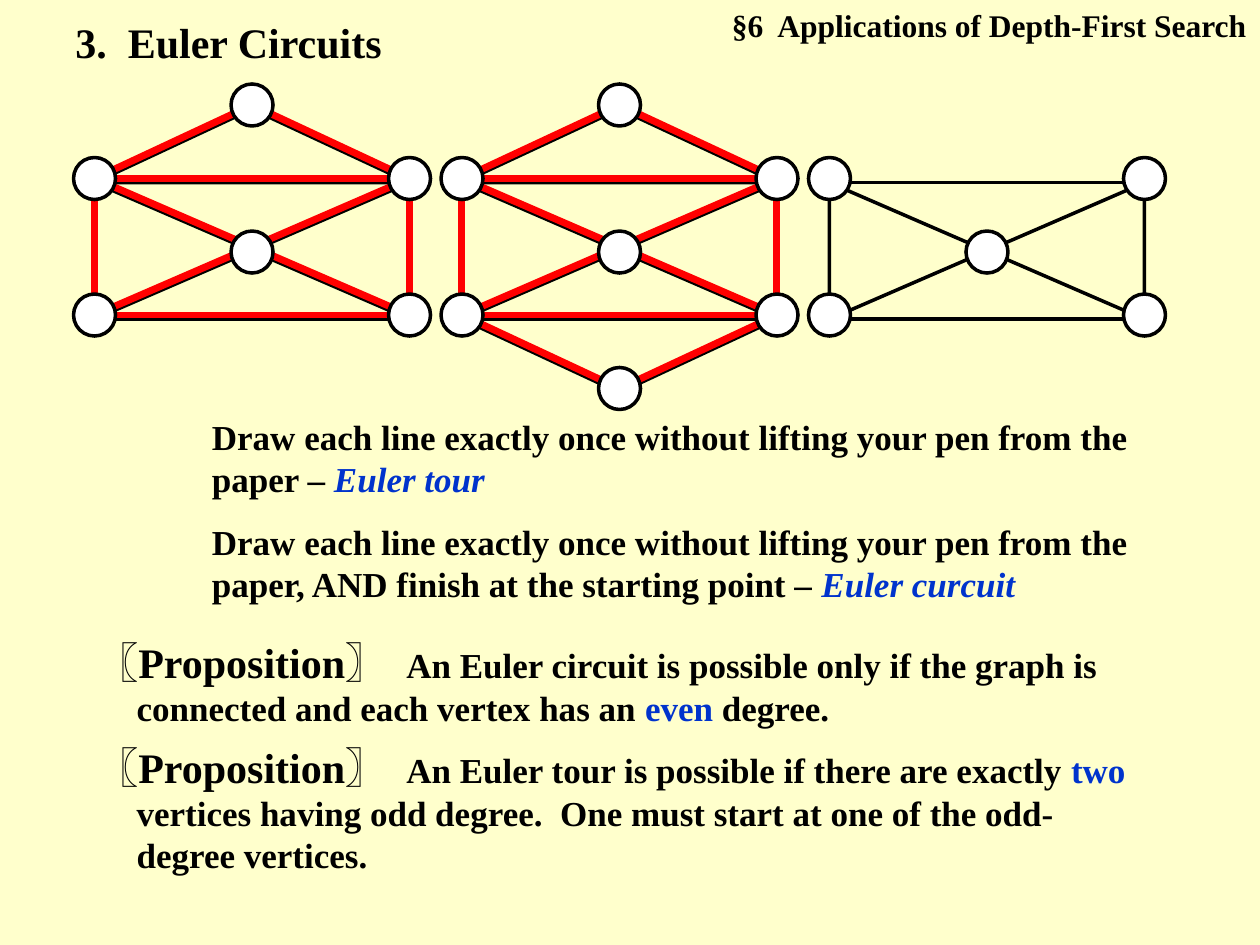
from itertools import pairwise

from lxml.etree import SubElement
from pptx import Presentation
from pptx.dml.color import RGBColor
from pptx.enum.shapes import MSO_CONNECTOR, MSO_SHAPE as SHAPE
from pptx.enum.text import MSO_AUTO_SIZE as FIT, PP_ALIGN as ALIGN
from pptx.oxml.ns import qn
from pptx.util import Pt

CREAM = RGBColor(0xFF, 0xFF, 0xCC)
BLACK = RGBColor(0, 0, 0)
WHITE = RGBColor(0xFF, 0xFF, 0xFF)
RED = RGBColor(0xFF, 0, 0)
BLUE = RGBColor(0, 0x33, 0xCC)

deck = Presentation()
deck.slide_width, deck.slide_height = Pt(720), Pt(540)
page = deck.slides.add_slide(deck.slide_layouts[6])
page.background.fill.solid()
page.background.fill.fore_color.rgb = CREAM


def add_text(left, top, width, height, spans, align=ALIGN.LEFT, hanging=0):
    """Each span is (text, size, colour, italic)."""
    box = page.shapes.add_textbox(Pt(left), Pt(top), Pt(width), Pt(height))
    frame = box.text_frame
    frame.word_wrap = True
    frame.auto_size = FIT.SHAPE_TO_FIT_TEXT
    para = frame.paragraphs[0]
    para.alignment = align
    if hanging:
        properties = para._p.get_or_add_pPr()
        properties.set("marL", str(Pt(hanging)))
        properties.set("indent", str(-Pt(hanging)))
    for text, size, color, italic in spans:
        span = para.add_run()
        span.text = text
        font = span.font
        font.name, font.size, font.bold = "Times New Roman", Pt(size), True
        font.italic = italic
        font.color.rgb = color


def add_outline(parent, kind, left, top, width, height, fill=None, flip=None):
    shape = parent.shapes.add_shape(kind, Pt(left), Pt(top), Pt(width), Pt(height))
    shape.shadow.inherit = False
    if fill is None:
        shape.fill.background()
    else:
        shape.fill.solid()
        shape.fill.fore_color.rgb = fill
    shape.line.color.rgb = BLACK
    shape.line.width = Pt(2)
    if flip:
        shape._element.spPr.get_or_add_xfrm().set(flip, "1")


# Headings
add_text(384, 0, 335.5, 29, [("§6  Applications of Depth-First Search", 18, BLACK, False)],
         ALIGN.RIGHT)
add_text(36, 6, 228, 36, [("3.  Euler Circuits", 24, BLACK, False)])

# Graph measures: node positions are relative to each graph's left edge
GRAPH_LEFTS = [54, 264, 474]
WIDTH, HEIGHT, PEAK = 180, 78, 42
FRAME_TOP = 104.4
NODE = 24
POINTS = {
    "peak": (90, 60), "top left": (0, 102), "top right": (180, 102),
    "middle": (90, 144), "bottom left": (0, 180), "bottom right": (180, 180),
    "low": (90, 222),
}
CORE = ["top left", "top right", "middle", "bottom left", "bottom right"]
GRAPH_NODES = [["peak"] + CORE, ["peak"] + CORE + ["low"], CORE]
TOURS = [
    ["bottom left", "top left", "peak", "top right", "top left",
     "bottom right", "bottom left", "top right", "bottom right"],
    ["peak", "top left", "bottom left", "low", "bottom right", "top right",
     "bottom left", "bottom right", "top left", "top right", "peak"],
    [],
]

# Black graph edges
edges = page.shapes.add_group_shape()
for left, nodes in zip(GRAPH_LEFTS, GRAPH_NODES):
    add_outline(edges, SHAPE.RECTANGLE, left, FRAME_TOP, WIDTH, HEIGHT)
    if "peak" in nodes:
        add_outline(edges, SHAPE.ISOSCELES_TRIANGLE, left, FRAME_TOP - PEAK, WIDTH, PEAK)
    for flip in (None, "flipH"):
        add_outline(edges, SHAPE.RIGHT_TRIANGLE, left, FRAME_TOP, WIDTH, HEIGHT, flip=flip)
    if "low" in nodes:
        add_outline(edges, SHAPE.ISOSCELES_TRIANGLE, left, FRAME_TOP + HEIGHT, WIDTH, PEAK,
                    flip="flipV")

# Definitions
DRAW = "Draw each line exactly once without lifting your pen from the paper"
add_text(114, 234, 546, 55.5, [(DRAW + " – ", 20, BLACK, False),
                               ("Euler tour", 20, BLUE, True)])
add_text(114, 294, 546, 55.5, [(DRAW + ", AND finish at the starting point – ", 20, BLACK, False),
                               ("Euler curcuit", 20, BLUE, True)])

# Red tours
for left, tour in zip(GRAPH_LEFTS, TOURS):
    for start, end in pairwise(tour):
        (x1, y1), (x2, y2) = POINTS[start], POINTS[end]
        stroke = page.shapes.add_connector(MSO_CONNECTOR.STRAIGHT, Pt(left + x1), Pt(y1),
                                           Pt(left + x2), Pt(y2))
        stroke.line.color.rgb = RED
        stroke.line.width = Pt(4)
        SubElement(stroke._element.spPr, qn("a:effectLst"))

# Graph nodes
circles = page.shapes.add_group_shape()
for left, nodes in zip(GRAPH_LEFTS, GRAPH_NODES):
    for name in nodes:
        x, y = POINTS[name]
        add_outline(circles, SHAPE.OVAL, left + x - NODE / 2, y - NODE / 2, NODE, NODE, WHITE)

# Propositions
label = ("〖Proposition〗  ", 24, BLACK, False)
add_text(48, 360, 618, 60, [
    label,
    ("An Euler circuit is possible only if the graph is connected and each vertex has an ",
     20, BLACK, False),
    ("even", 20, BLUE, False),
    (" degree.", 20, BLACK, False),
], hanging=23)
add_text(48, 420, 618, 84, [
    label,
    ("An Euler tour is possible if there are exactly ", 20, BLACK, False),
    ("two", 20, BLUE, False),
    (" vertices having odd degree.  One must start at one of the odd-degree vertices.",
     20, BLACK, False),
], hanging=23)

deck.save("out.pptx")
